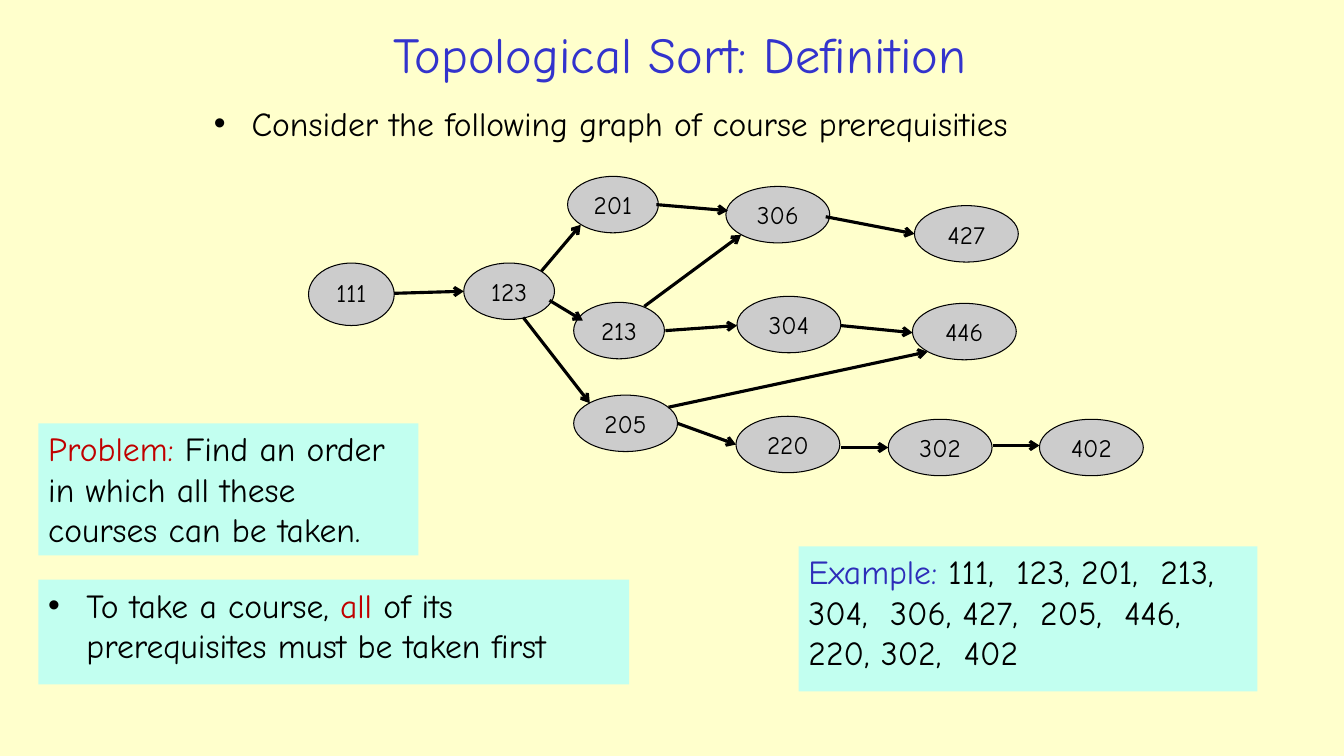
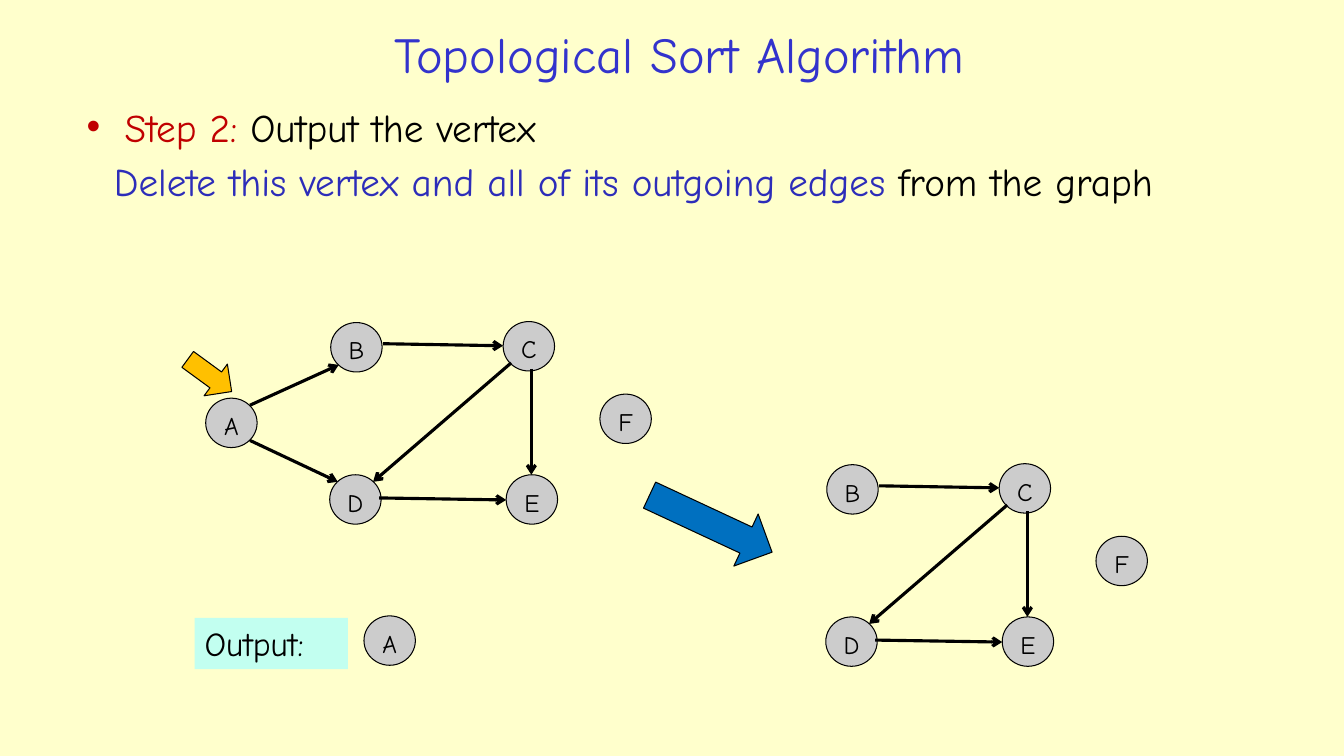
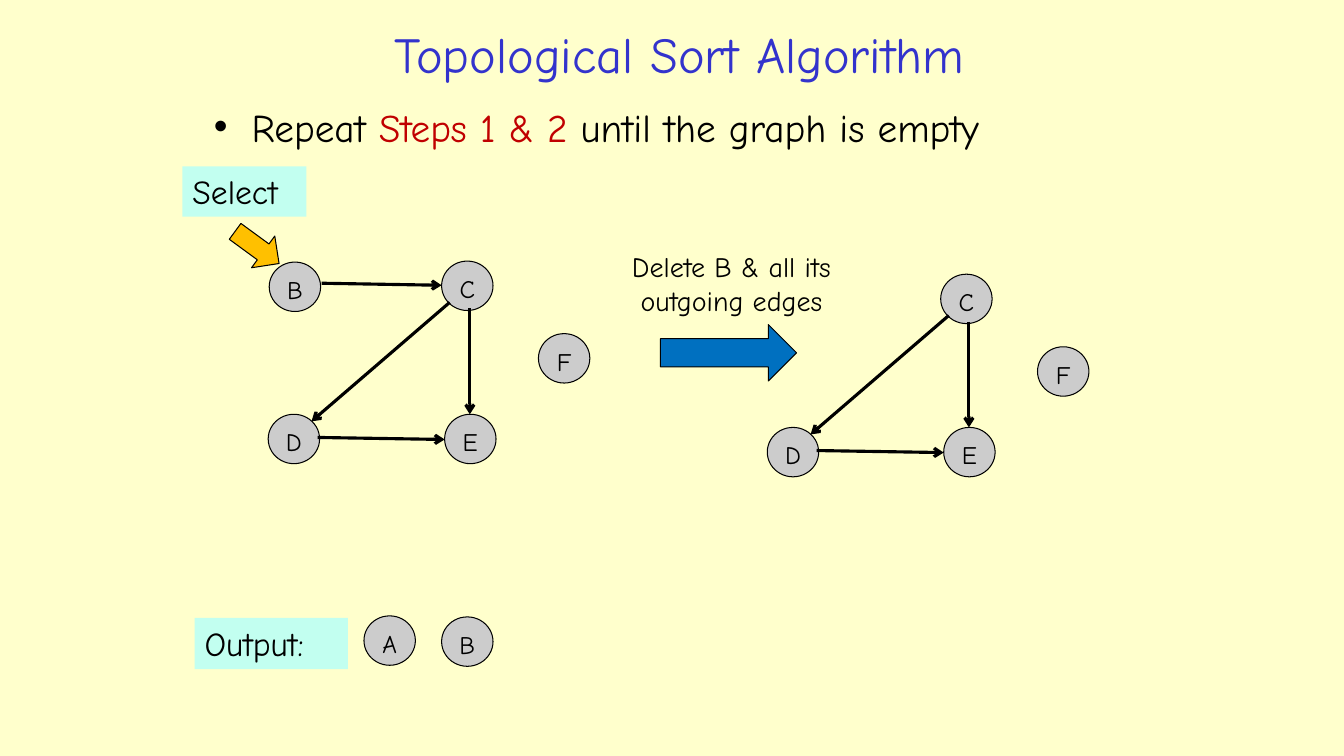
"""Build three slides on topological sorting, with course and letter graphs."""
from lxml import etree
from pptx import Presentation
from pptx import util as u
from pptx.dml.color import RGBColor
from pptx.enum import shapes, text
from pptx.oxml.ns import qn

SCALE = 9144
FONT = "Comic Neue"
CREAM = RGBColor(0xFF, 0xFF, 0xCC)
TITLE_BLUE = RGBColor(0x33, 0x33, 0xCC)
TEXT_BLUE = RGBColor(0x2D, 0x2D, 0xB9)
ARROW_BLUE = RGBColor(0x00, 0x70, 0xC0)
RED = RGBColor(0xC0, 0x00, 0x00)
GOLD = RGBColor(0xFF, 0xC0, 0x00)
MINT = RGBColor(0xC2, 0xFF, 0xF0)
GREY = RGBColor(0xCC, 0xCC, 0xCC)
BLACK = RGBColor(0x00, 0x00, 0x00)
CENTER = text.PP_ALIGN.CENTER


def px(*lengths):
    return [u.Emu(length * SCALE) for length in lengths]


def write(frame, *spans, size=24, align=None, bullet=None, indent=0, hanging=0, before=None):
    frame.word_wrap = True
    frame.auto_size = text.MSO_AUTO_SIZE.NONE
    para = frame.add_paragraph() if frame.text else frame.paragraphs[0]
    para.alignment = align
    if before is not None:
        para.space_before = u.Pt(before)
    if bullet is not None:
        props = para._p.get_or_add_pPr()
        props.set("marL", str(indent * SCALE))
        props.set("indent", str(-hanging * SCALE))
        if bullet:
            etree.SubElement(props, qn("a:buFont")).set("typeface", "Arial")
            etree.SubElement(props, qn("a:buChar")).set("char", bullet)
        else:
            etree.SubElement(props, qn("a:buNone"))
    for words, color in spans:
        span = para.add_run()
        span.text = words
        span.font.name = FONT
        span.font.size = u.Pt(size)
        span.font.color.rgb = color


NODE = (51, 49)
LETTERS = {"A": (204, 395), "B": (328, 320), "C": (499, 319),
           "D": (327, 471), "E": (502, 471), "F": (595, 391)}
EDGES = {"AB": (248, 402, 336, 362), "BC": (380, 341, 499, 343),
         "CE": (527, 366, 527, 471), "AD": (248, 437, 335, 478),
         "DE": (376, 494, 502, 496), "CD": (507, 360, 370, 478)}

courses = [
    ("111", 306, 261, 85, 62), ("201", 563, 175, 90, 56), ("123", 460, 261, 90, 56),
    ("213", 569, 300, 90, 56), ("205", 569, 392, 103, 56), ("220", 730, 413, 103, 56),
    ("302", 881, 416, 103, 56), ("304", 731, 294, 103, 56), ("306", 720, 185, 103, 56),
    ("446", 905, 301, 103, 56), ("427", 907, 204, 103, 56), ("402", 1031, 416, 103, 56),
]
prerequisites = [
    (391, 291, 460, 289), (537, 269, 576, 223), (545, 298, 578, 318),
    (519, 315, 585, 400), (672, 420, 730, 441), (834, 444, 881, 444),
    (660, 328, 731, 323), (651, 203, 722, 209), (639, 304, 735, 233),
    (834, 323, 905, 330), (819, 215, 907, 232), (663, 404, 920, 349),
    (985, 442, 1031, 442),
]
output_panel = ((193, 613, 152, 51), MINT, [([("Output:", BLACK)], {})])

pages = [
    {
        "title": "Topological Sort: Definition",
        "body": ((202, 97, 914, 63), [
            ([("Consider the following graph of course prerequisities", BLACK)], {})]),
        "nodes": courses,
        "links": prerequisites,
        "panels": [
            ((38, 420, 377, 131), MINT, [
                ([("Problem:", RED), (" Find an order", BLACK)], {}),
                ([("in which all these", BLACK)], {}),
                ([("courses can be taken.", BLACK)], {})]),
            ((38, 575, 586, 104), MINT, [
                ([("To take a course, ", BLACK), ("all", RED),
                  (" of its prerequisites must be taken first", BLACK)],
                 {"bullet": "•", "indent": 38, "hanging": 38, "before": 5})]),
            ((792, 542, 455, 144), MINT, [
                ([("Example: ", TEXT_BLUE),
                  ("111,  123, 201,  213,  304,  306, 427,  205,  446,  220, 302,  402",
                   BLACK)], {})]),
        ],
    },
    {
        "title": "Topological Sort Algorithm",
        "body": ((76, 97, 1191, 132), [
            ([("Step 2: ", RED), ("Output the vertex", BLACK)], {"size": 28}),
            ([("Delete this vertex and all of its outgoing edges ", TEXT_BLUE),
              ("from the graph", BLACK)], {"size": 28, "bullet": "", "indent": 27})]),
        "graphs": [("ABCDEF", 0, 0), ("BCDEF", 492, 141)],
        "nodes": [("A", 361, 611, *NODE)],
        "panels": [output_panel],
        "arrows": [((638, 491, 134, 57), 25, ARROW_BLUE), ((181, 353, 54, 39), 36.2, GOLD)],
    },
    {
        "title": "Topological Sort Algorithm",
        "body": ((202, 97, 941, 80), [
            ([("Repeat ", BLACK), ("Steps 1 & 2", RED),
              (" until the graph is empty", BLACK)], {"size": 28})]),
        "graphs": [("BCDEF", -61, -60), ("CDEF", 434, -47)],
        "nodes": [("A", 361, 611, *NODE), ("B", 438, 612, *NODE)],
        "panels": [
            output_panel,
            ((595, 243, 261, 77), None, [
                ([("Delete B & all its outgoing edges", BLACK)],
                 {"size": 20, "align": CENTER})]),
            ((181, 165, 123, 50), MINT, [([("Select", BLACK)], {})]),
        ],
        "arrows": [((228, 226, 54, 39), 36.2, GOLD), ((655, 322, 135, 56), 0, ARROW_BLUE)],
    },
]

deck = Presentation()
deck.slide_width, deck.slide_height = px(1333, 750)
background = deck.slide_master.background.fill
background.solid()
background.fore_color.rgb = CREAM
layout = deck.slide_layouts[1]
heading = layout.placeholders[0]
heading.left, heading.top, heading.width, heading.height = px(197, 15, 954, 76)

for content in pages:
    page = deck.slides.add_slide(layout)
    write(page.shapes.title.text_frame, (content["title"], TITLE_BLUE), size=36, align=CENTER)

    area, paragraphs = content["body"]
    body = page.placeholders[1]
    body.left, body.top, body.width, body.height = px(*area)
    for spans, style in paragraphs:
        write(body.text_frame, *spans, **style)

    nodes = list(content["nodes"])
    links = list(content.get("links", []))
    for names, dx, dy in content.get("graphs", []):
        for name in names:
            x, y = LETTERS[name]
            nodes.append((name, x + dx, y + dy, *NODE))
        for ends, (x1, y1, x2, y2) in EDGES.items():
            if set(ends) <= set(names):
                links.append((x1 + dx, y1 + dy, x2 + dx, y2 + dy))

    for label, *area in nodes:
        node = page.shapes.add_shape(shapes.MSO_SHAPE.OVAL, *px(*area))
        node.shadow.inherit = False
        node.fill.solid()
        node.fill.fore_color.rgb = GREY
        node.line.color.rgb = BLACK
        node.line.width = u.Pt(0.75)
        node.text_frame.vertical_anchor = text.MSO_ANCHOR.TOP
        write(node.text_frame, (label, BLACK), size=18, align=CENTER)

    for ends in links:
        link = page.shapes.add_connector(shapes.MSO_CONNECTOR.STRAIGHT, *px(*ends))
        link.line.color.rgb = BLACK
        link.line.width = u.Pt(2.25)
        etree.SubElement(link.line._get_or_add_ln(), qn("a:tailEnd")).set("type", "arrow")
        etree.SubElement(link._element.spPr, qn("a:effectLst"))

    for area, angle, color in content.get("arrows", []):
        arrow = page.shapes.add_shape(shapes.MSO_SHAPE.RIGHT_ARROW, *px(*area))
        arrow.shadow.inherit = False
        arrow.rotation = angle
        arrow.fill.solid()
        arrow.fill.fore_color.rgb = color
        arrow.line.color.rgb = BLACK
        arrow.line.width = u.Pt(0.75)

    for area, color, paragraphs in content["panels"]:
        if color is None:
            panel = page.shapes.add_textbox(*px(*area))
        else:
            panel = page.shapes.add_shape(shapes.MSO_SHAPE.RECTANGLE, *px(*area))
            panel.shadow.inherit = False
            panel.fill.solid()
            panel.fill.fore_color.rgb = color
            panel.line.fill.background()
        panel.text_frame.vertical_anchor = text.MSO_ANCHOR.TOP
        for spans, style in paragraphs:
            write(panel.text_frame, *spans, **{"align": text.PP_ALIGN.LEFT, **style})

deck.save("out.pptx")
